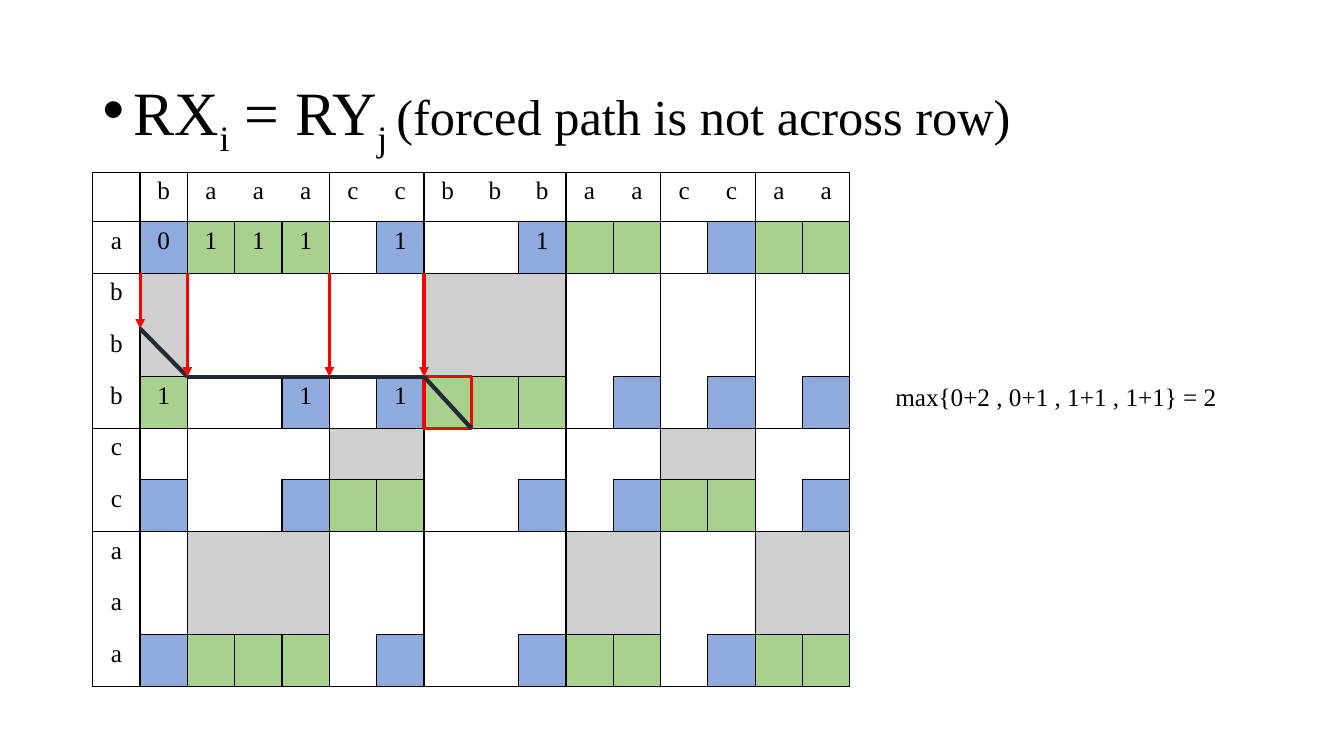
from dataclasses import dataclass

from lxml.etree import SubElement
from pptx import Presentation
from pptx.dml.color import RGBColor
from pptx.enum.shapes import MSO_CONNECTOR, MSO_SHAPE
from pptx.enum.text import MSO_ANCHOR, PP_ALIGN
from pptx.oxml.ns import qn
from pptx.util import Inches, Pt


@dataclass(frozen=True)
class Theme:
    """Colours, font and type sizes of the slide."""
    font: str = "Times New Roman"
    ink: str = "000000"
    match: str = "A9D18E"
    corner: str = "8FAADC"
    inside: str = "D0CECE"
    accent: str = "FF0000"
    route: str = "222A35"
    title: int = 44
    subtitle: int = 36
    body: int = 18


T = Theme()
WIDTH, HEIGHT = 13.33, 7.5
LEFT, TOP = 0.92, 1.71
HEAD_H = 0.49
COL_W, ROW_H = 7.51 / 16, (5.1 - HEAD_H) / 9
COL_RUNS = ["", "b", "aaa", "cc", "bbb", "aa", "cc", "aa"]
ROW_RUNS = ["", "a", "bbb", "cc", "aaa"]
VALUES = {
    1: {1: "0", 2: "1", 3: "1", 4: "1", 6: "1", 9: "1"},
    4: {1: "1", 4: "1", 6: "1"},
}
ARROWS = [(1, 3.07), (2, 4), (5, 4), (7, 4)]
ROUTE = [(1, 3.07), (2, 4), (7, 4), (8, 5)]


def col_x(col):
    """Return the left edge of a table column in inches."""
    return LEFT + col * COL_W


def row_y(row):
    """Return the top edge of a table row in inches."""
    return TOP + (HEAD_H + (row - 1) * ROW_H if row else 0)


def expand(runs):
    """Return (letter, starts run, ends run) for each position."""
    return [(ch, i == 0, i == len(run) - 1)
            for run in runs for i, ch in enumerate(run or " ")]


COLS, ROWS = expand(COL_RUNS), expand(ROW_RUNS)


def cell_fill(row, col):
    """Return the colour of a table cell, or None."""
    if row == 0 or col == 0:
        return None
    (row_ch, _, row_end), (col_ch, _, col_end) = ROWS[row], COLS[col]
    if row_ch == col_ch:
        return T.match if row_end else T.inside
    return T.corner if row_end and col_end else None


def framed(row, col):
    """Tell whether a cell has a line on all four sides."""
    inside = row < len(ROWS) and col < len(COLS)
    return inside and cell_fill(row, col) in (T.match, T.corner)


def cell_sides(row, col):
    """Return which border lines a cell shows."""
    (_, top, bottom), (_, left, right) = ROWS[row], COLS[col]
    own = framed(row, col)
    return {"a:lnL": left or own or framed(row, col - 1),
            "a:lnR": right or own or framed(row, col + 1),
            "a:lnT": top or own or framed(row - 1, col),
            "a:lnB": bottom or own or framed(row + 1, col)}


def add_text(p, text, size=T.body, color=T.ink, sub=False):
    """Add a formatted run to a paragraph."""
    r = p.add_run()
    r.text = text
    r.font.name, r.font.size = T.font, Pt(size)
    r.font.color.rgb = RGBColor.from_string(color)
    if sub:
        r._r.get_or_add_rPr().set("baseline", "-25000")


def add_box(s, x, y, w, h, anchor=MSO_ANCHOR.TOP):
    """Add a wrapping text box and return its first paragraph."""
    tf = s.shapes.add_textbox(*map(Inches, (x, y, w, h))).text_frame
    tf.word_wrap = True
    tf.vertical_anchor = anchor
    return tf.paragraphs[0]


def add_title(s):
    """Add the bulleted heading with its subscripts."""
    p = add_box(s, LEFT, HEIGHT * 0.053, WIDTH * 0.86, HEIGHT * 0.193,
                MSO_ANCHOR.MIDDLE)
    p.line_spacing = 0.9
    pPr = p._p.get_or_add_pPr()
    pPr.set("marL", str(Inches(0.31)))
    pPr.set("indent", str(-Inches(0.31)))
    SubElement(pPr, qn("a:buFont"), typeface="Arial")
    SubElement(pPr, qn("a:buChar"), char="•")
    for text, sub in [("RX", False), ("i", True), (" = RY", False), ("j ", True)]:
        add_text(p, text, size=T.title, sub=sub)
    add_text(p, "(forced path is not across row)", size=T.subtitle)


def set_borders(cell, sides):
    """Draw or clear each border of a cell."""
    tcPr = cell._tc.get_or_add_tcPr()
    for tag, shown in sides.items():
        ln = SubElement(tcPr, qn(tag), w=str(Pt(1)))
        if shown:
            fill = SubElement(ln, qn("a:solidFill"))
            SubElement(fill, qn("a:srgbClr"), val=T.ink)
        else:
            SubElement(ln, qn("a:noFill"))


def fill_cell(cell, row, col):
    """Set the borders, fill and text of one cell."""
    set_borders(cell, cell_sides(row, col))
    color = cell_fill(row, col)
    if color:
        cell.fill.solid()
        cell.fill.fore_color.rgb = RGBColor.from_string(color)
    else:
        cell.fill.background()
    p = cell.text_frame.paragraphs[0]
    p.alignment = PP_ALIGN.CENTER
    label = {(True, False): COLS[col][0], (False, True): ROWS[row][0]}
    text = label.get((row == 0, col == 0), VALUES.get(row, {}).get(col, ""))
    if text:
        add_text(p, text)


def add_grid(s):
    """Add the run-length comparison table."""
    size = (LEFT, TOP, COL_W * len(COLS), row_y(len(ROWS)) - TOP)
    tbl = s.shapes.add_table(len(ROWS), len(COLS), *map(Inches, size)).table
    tbl.first_row = tbl.horz_banding = False
    for column in tbl.columns:
        column.width = Inches(COL_W)
    for row in range(len(ROWS)):
        tbl.rows[row].height = Inches(row_y(row + 1) - row_y(row))
        for col in range(len(COLS)):
            fill_cell(tbl.cell(row, col), row, col)


def add_line(s, start, end, color, width, arrow=False):
    """Add a line between two grid points."""
    ends = [f(v) for point in (start, end) for f, v in zip((col_x, row_y), point)]
    sp = s.shapes.add_connector(MSO_CONNECTOR.STRAIGHT, *map(Inches, ends))
    sp.line.color.rgb = RGBColor.from_string(color)
    sp.line.width = Pt(width)
    if arrow:
        SubElement(sp.line._get_or_add_ln(), qn("a:tailEnd"), type="triangle")
    SubElement(sp._element.spPr, qn("a:effectLst"))


def add_target(s, row, col):
    """Outline the cell that is being computed."""
    sp = s.shapes.add_shape(MSO_SHAPE.RECTANGLE, *map(
        Inches, (col_x(col), row_y(row), COL_W, ROW_H)))
    sp.shadow.inherit = False
    sp.fill.background()
    sp.line.color.rgb = RGBColor.from_string(T.accent)
    sp.line.width = Pt(2.25)


def main():
    """Build the slide and save it."""
    prs = Presentation()
    prs.slide_width, prs.slide_height = Inches(WIDTH), Inches(HEIGHT)
    s = prs.slides.add_slide(prs.slide_layouts[6])
    add_title(s)
    add_grid(s)
    add_target(s, 4, 7)
    for start, end in zip(ROUTE, ROUTE[1:]):
        add_line(s, start, end, T.route, 3)
    for col, row in ARROWS:
        add_line(s, (col, 2), (col, row), T.accent, 2.25, arrow=True)
    p = add_box(s, col_x(16.75), row_y(4), COL_W * 7.42, ROW_H * 0.78)
    add_text(p, "max{0+2 , 0+1 , 1+1 , 1+1} = 2")
    prs.save("out.pptx")


if __name__ == "__main__":
    main()
